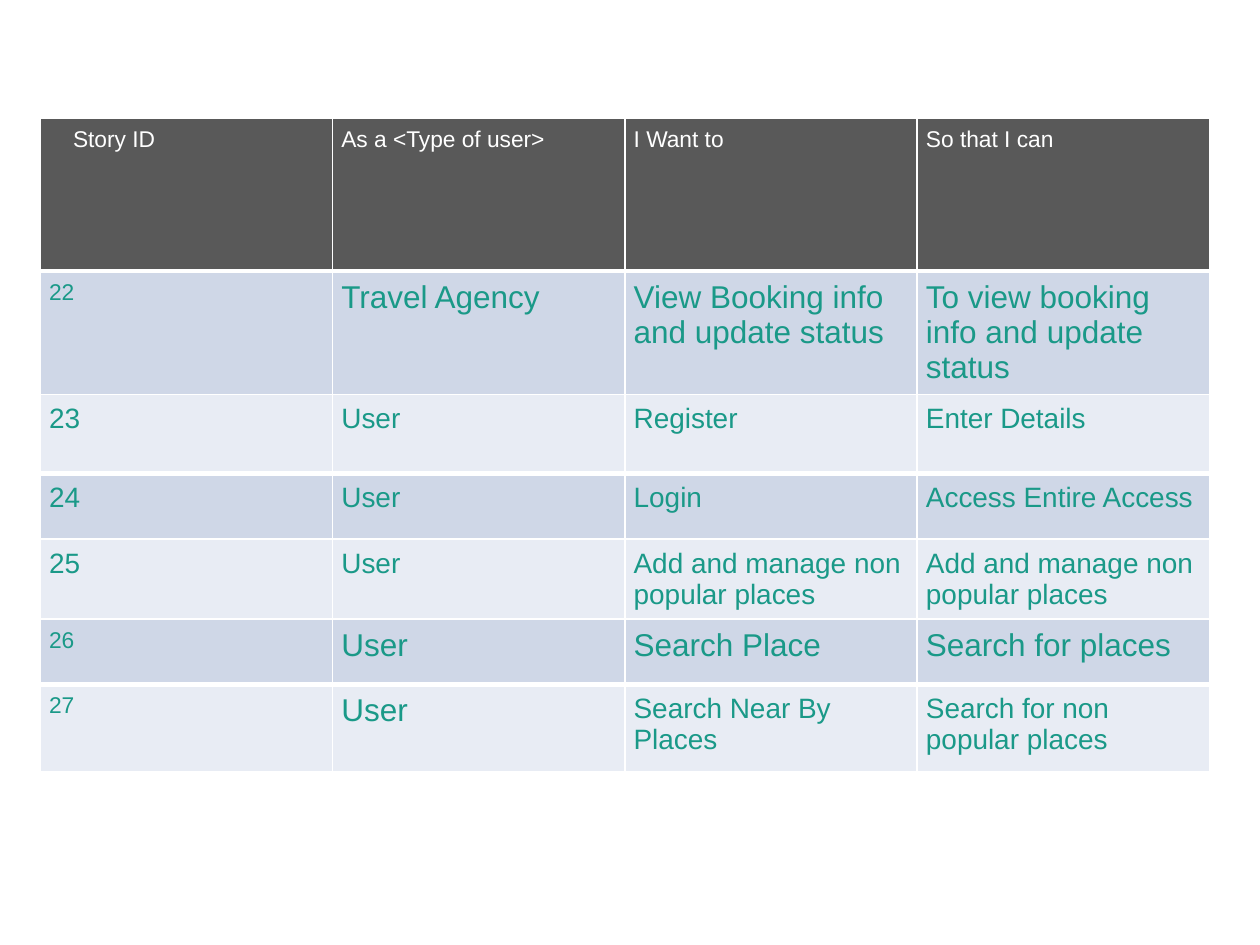
import pptx
import pptx.dml.color
import pptx.oxml
import pptx.oxml.ns
import pptx.util
from pptx.util import Inches

WHITE = pptx.dml.color.RGBColor(0xFF, 0xFF, 0xFF)
GREY = pptx.dml.color.RGBColor(0x59, 0x59, 0x59)
TEAL = pptx.dml.color.RGBColor(0x1A, 0x99, 0x88)
BAND_DARK = pptx.dml.color.RGBColor(0xCF, 0xD7, 0xE7)
BAND_LIGHT = pptx.dml.color.RGBColor(0xE8, 0xEC, 0xF4)

FONT = "Arial"
COL_WIDTH = 2.32
MARGIN = 0.07
ID_INDENT = 0.26
THICK_BELOW = {0, 2, 5}  # rows followed by a 3 pt rule

# Row height, font size of each column, texts
STORIES = [
    (1.21, (13, 13, 13, 13),
     ("Story ID", "As a <Type of user>", "I Want to", "So that I can")),
    (0.98, (13, 18, 18, 18),
     ("22", "Travel Agency", "View Booking info and update status",
      "To view booking info and update status")),
    (0.63, (16, 16, 16, 16), ("23", "User", "Register", "Enter Details")),
    (0.52, (16, 16, 16, 16), ("24", "User", "Login", "Access Entire Access")),
    (0.63, (16, 16, 16, 16),
     ("25", "User", "Add and manage non popular places",
      "Add and manage non popular places")),
    (0.52, (13, 18, 18, 18),
     ("26", "User", "Search Place", "Search for places")),
    (0.69, (13, 18, 16, 16),
     ("27", "User", "Search Near By Places", "Search for non popular places")),
]


def set_borders(cell, top, bottom):
    """Draw white cell borders; widths are in points."""
    tc_pr = cell._tc.get_or_add_tcPr()
    for side, width in (("L", 1), ("R", 1), ("T", top), ("B", bottom)):
        tc_pr.append(pptx.oxml.parse_xml(
            f'<a:ln{side} {pptx.oxml.ns.nsdecls("a")} w="{pptx.util.Pt(width)}">'
            f'<a:solidFill><a:srgbClr val="{WHITE}"/></a:solidFill></a:ln{side}>'))


def set_text(cell, text, size, color):
    cell.margin_left = cell.margin_right = Inches(MARGIN)
    cell.margin_top = cell.margin_bottom = Inches(MARGIN)
    r = cell.text_frame.paragraphs[0].add_run()
    r.text = text
    r.font.name = FONT
    r.font.size = pptx.util.Pt(size)
    r.font.bold = False
    r.font.color.rgb = color


def row_fill(row):
    if row == 0:
        return GREY
    return BAND_DARK if row % 2 else BAND_LIGHT


def add_story_table(slide):
    cols = len(STORIES[0][2])
    height = sum(story[0] for story in STORIES)
    table = slide.shapes.add_table(
        len(STORIES), cols, Inches(0.32), Inches(0.94),
        Inches(cols * COL_WIDTH), Inches(height)).table
    for column in table.columns:
        column.width = Inches(COL_WIDTH)

    for i, (row_height, sizes, texts) in enumerate(STORIES):
        table.rows[i].height = Inches(row_height)
        top = 3 if i - 1 in THICK_BELOW else 1
        bottom = 3 if i in THICK_BELOW else 1
        for j, (size, text) in enumerate(zip(sizes, texts)):
            cell = table.cell(i, j)
            set_text(cell, text, size, TEAL if i else WHITE)
            set_borders(cell, top, bottom)
            cell.fill.solid()
            cell.fill.fore_color.rgb = row_fill(i)

    # The first heading is set in from the column edge
    table.cell(0, 0).margin_left = Inches(ID_INDENT)


def main():
    prs = pptx.Presentation()
    prs.slide_width = Inches(10)
    prs.slide_height = Inches(7.5)
    s = prs.slides.add_slide(prs.slide_layouts[6])
    add_story_table(s)
    prs.save("out.pptx")


if __name__ == "__main__":
    main()
